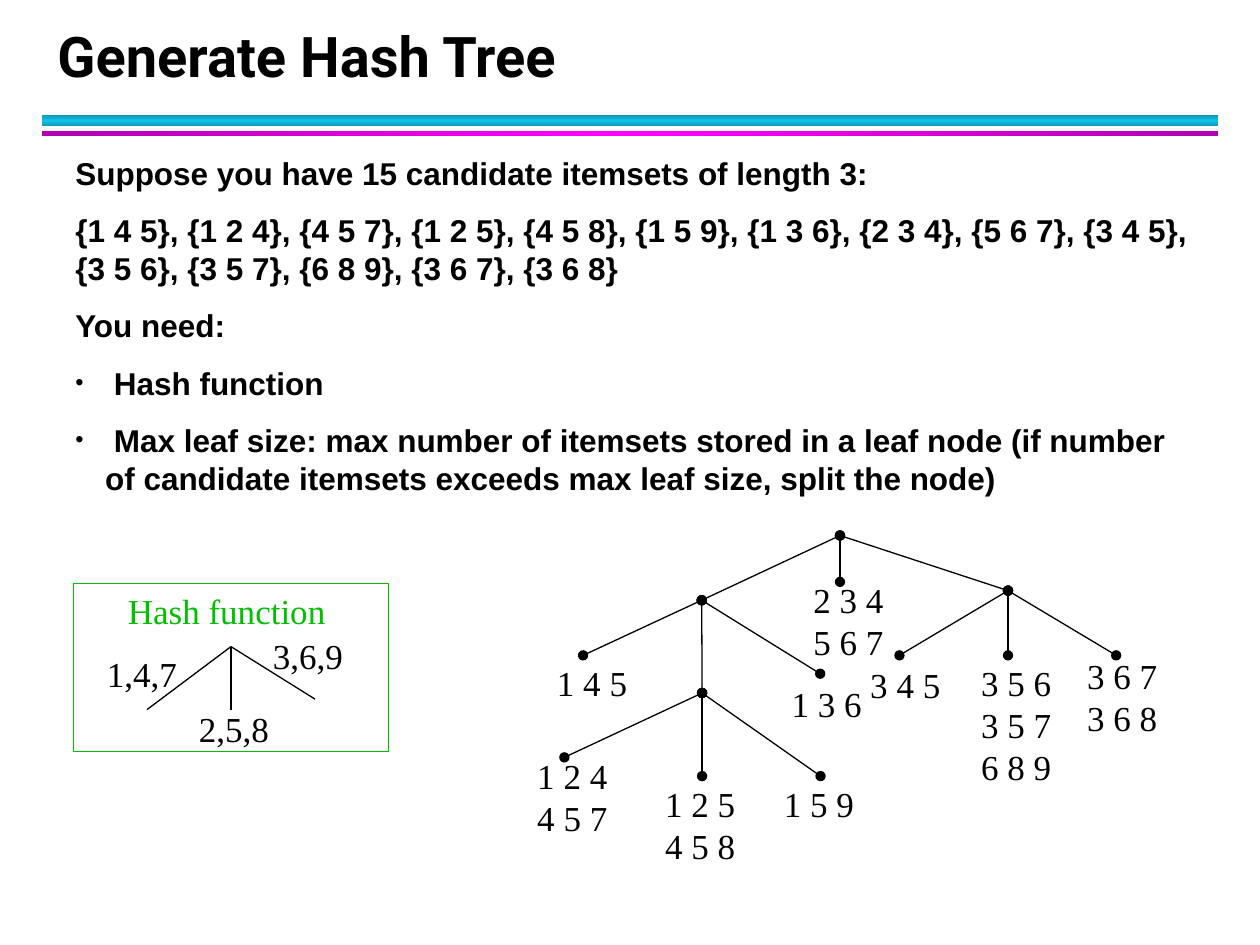
from copy import deepcopy

from lxml import etree
from pptx import Presentation
from pptx.dml.color import RGBColor
from pptx.enum.shapes import MSO_CONNECTOR, MSO_SHAPE
from pptx.enum.text import MSO_ANCHOR, MSO_AUTO_SIZE, PP_ALIGN
from pptx.oxml.ns import qn
from pptx.util import Pt

STRAIGHT = MSO_CONNECTOR.STRAIGHT
RECTANGLE = MSO_SHAPE.RECTANGLE
BOTTOM = MSO_ANCHOR.BOTTOM
NO_FIT = MSO_AUTO_SIZE.NONE
GROW = MSO_AUTO_SIZE.SHAPE_TO_FIT_TEXT
LEFT = PP_ALIGN.LEFT

BLACK = RGBColor(0x00, 0x00, 0x00)
GREEN = RGBColor(0x00, 0xC0, 0x00)
DARK_CYAN = RGBColor(0x0E, 0x9B, 0xBA)
CYAN = RGBColor(0x12, 0xC2, 0xE9)
DARK_MAGENTA = RGBColor(0xB2, 0x00, 0xB2)
MAGENTA = RGBColor(0xFF, 0x00, 0xFF)

TITLE_FONT, BODY_FONT, TREE_FONT = "Roboto", "Arial", "Times New Roman"
LABEL_WIDTH = 54.4
LINE_HEIGHT = 24

INTRO = [
    "Suppose you have 15 candidate itemsets of length 3:",
    "{1 4 5}, {1 2 4}, {4 5 7}, {1 2 5}, {4 5 8}, {1 5 9}, {1 3 6}, {2 3 4}, "
    "{5 6 7}, {3 4 5}, {3 5 6}, {3 5 7}, {6 8 9}, {3 6 7}, {3 6 8}",
    "You need:",
]
NEEDS = [
    " Hash function",
    " Max leaf size: max number of itemsets stored in a leaf node (if number "
    "of candidate itemsets exceeds max leaf size, split the node)",
]

# Inner nodes of the tree, and the ends of their branches
ROOT, LEFT_NODE, RIGHT_NODE, LOW_NODE = (480, 306), (401, 343), (576, 337.5), (401.2, 396)
BRANCHES = {
    ROOT: [LEFT_NODE, (480, 332.5), RIGHT_NODE],
    LEFT_NODE: [(333.2, 374.5), LOW_NODE, (468.7, 385)],
    LOW_NODE: [(322.5, 432.8), (401.2, 443.5), (468.9, 443.5)],
    RIGHT_NODE: [(514, 374.5), (576, 374.5), (637.8, 374.5)],
}
LEAVES = [
    (457.7, 327, ["2 3 4", "5 6 7"]),
    (311.2, 374.5, ["1 4 5"]),
    (445.2, 386.2, ["1 3 6"]),
    (299.9, 427.6, ["1 2 4", "4 5 7"]),
    (373, 443.5, ["1 2 5", "4 5 8"]),
    (440.8, 443.5, ["1 5 9"]),
    (490.2, 375.6, ["3 4 5"]),
    (553.5, 374.7, ["3 5 6", "3 5 7", "6 8 9"]),
    (614.1, 370.3, ["3 6 7", "3 6 8"]),
]

HASH_TOP = (132, 369.5)
HASH_ENDS = [(84, 405.5), (132, 405.5), (180, 399.5)]
HASH_LABELS = [(54, 369.5, "1,4,7"), (106.5, 400.8, "2,5,8"), (148.8, 358.9, "3,6,9")]


class SlideBuilder:
    def __init__(self, deck):
        self.slide = deck.slides.add_slide(deck.slide_layouts[5])
        self.shapes = self.slide.shapes

    def style(self, paragraph, font, size, color=BLACK, bold=False):
        for span in paragraph.runs:
            span.font.name = font
            span.font.size = Pt(size)
            span.font.bold = bold
            span.font.color.rgb = color

    def title(self, text, left, top, width, height):
        box = self.shapes.title
        box.left, box.top, box.width, box.height = Pt(left), Pt(top), Pt(width), Pt(height)
        frame = box.text_frame
        frame.text = text
        frame.auto_size = NO_FIT
        frame.vertical_anchor = BOTTOM
        para = frame.paragraphs[0]
        para.alignment = LEFT
        para.line_spacing = Pt(36)
        self.style(para, TITLE_FONT, 32, bold=True)

    def rectangle(self, left, top, width, height):
        box = self.shapes.add_shape(RECTANGLE, Pt(left), Pt(top), Pt(width), Pt(height))
        box.shadow.inherit = False
        return box

    def bar(self, top, height, edge, middle, angle):
        box = self.rectangle(24, top, 672, height)
        box.line.fill.background()
        box.fill.gradient()
        box.fill.gradient_angle = angle
        stop_list = box.element.spPr.find(".//" + qn("a:gsLst"))
        stop_list.append(deepcopy(stop_list[-1]))
        for stop, position, color in zip(box.fill.gradient_stops, (0, 0.5, 1), (edge, middle, edge)):
            stop.position = position
            stop.color.rgb = color

    def outline(self, left, top, width, height, color):
        box = self.rectangle(left, top, width, height)
        box.fill.background()
        box.line.color.rgb = color
        box.line.width = Pt(0.75)

    def line(self, start, end, dots=False):
        line = self.shapes.add_connector(STRAIGHT, *(Pt(value) for value in start + end))
        line.line.color.rgb = BLACK
        line.line.width = Pt(0.75)
        properties = line.element.spPr
        if dots:
            outline = properties.find(qn("a:ln"))
            for tag in ("a:headEnd", "a:tailEnd"):
                etree.SubElement(outline, qn(tag), type="oval")
        etree.SubElement(properties, qn("a:effectLst"))

    def label(self, left, top, rows, color=BLACK, width=LABEL_WIDTH):
        height = len(rows) * LINE_HEIGHT + 7.2
        box = self.shapes.add_textbox(Pt(left), Pt(top), Pt(width), Pt(height))
        frame = box.text_frame
        frame.word_wrap = False
        frame.auto_size = GROW
        frame.text = "\n".join(rows)
        for para in frame.paragraphs:
            self.style(para, TREE_FONT, 20, color)

    def bullet(self, paragraph):
        properties = paragraph._p.get_or_add_pPr()
        properties.set("marL", str(Pt(17)))
        properties.set("indent", str(-Pt(17)))
        color = etree.SubElement(properties, qn("a:buClr"))
        etree.SubElement(color, qn("a:srgbClr"), val=str(BLACK))
        etree.SubElement(properties, qn("a:buSzPct"), val="75000")
        etree.SubElement(properties, qn("a:buFont"), typeface=BODY_FONT)
        etree.SubElement(properties, qn("a:buChar"), char="•")

    def body(self, plain, bulleted, left, top, width, height):
        box = self.shapes.add_textbox(Pt(left), Pt(top), Pt(width), Pt(height))
        frame = box.text_frame
        frame.word_wrap = True
        frame.auto_size = GROW
        frame.text = "\n".join(plain + bulleted)
        for index, para in enumerate(frame.paragraphs):
            if index >= len(plain):
                self.bullet(para)
            if index:
                para.space_before = Pt(11.2)
            self.style(para, BODY_FONT, 18, bold=True)


def main():
    deck = Presentation()
    deck.slide_width, deck.slide_height = Pt(720), Pt(540)
    page = SlideBuilder(deck)

    # Title and the two rules below it
    page.bar(66, 6, DARK_CYAN, CYAN, 90)
    page.bar(75, 3, DARK_MAGENTA, MAGENTA, 0)
    page.title("Generate Hash Tree", 25.6, 12.4, 652, 42)

    # Hash tree
    for node, ends in BRANCHES.items():
        for end in ends:
            page.line(node, end, dots=True)
    for left, top, rows in LEAVES:
        page.label(left, top, rows)

    # Hash function
    page.outline(42, 333.5, 180, 96, GREEN)
    for end in HASH_ENDS:
        page.line(HASH_TOP, end)
    for left, top, text in HASH_LABELS:
        page.label(left, top, [text])
    page.label(66, 333.5, ["Hash function"], GREEN, 127.5)

    # Explanation
    page.body(INTRO, NEEDS, 36, 84.2, 654, 204)

    deck.save("out.pptx")


if __name__ == "__main__":
    main()
